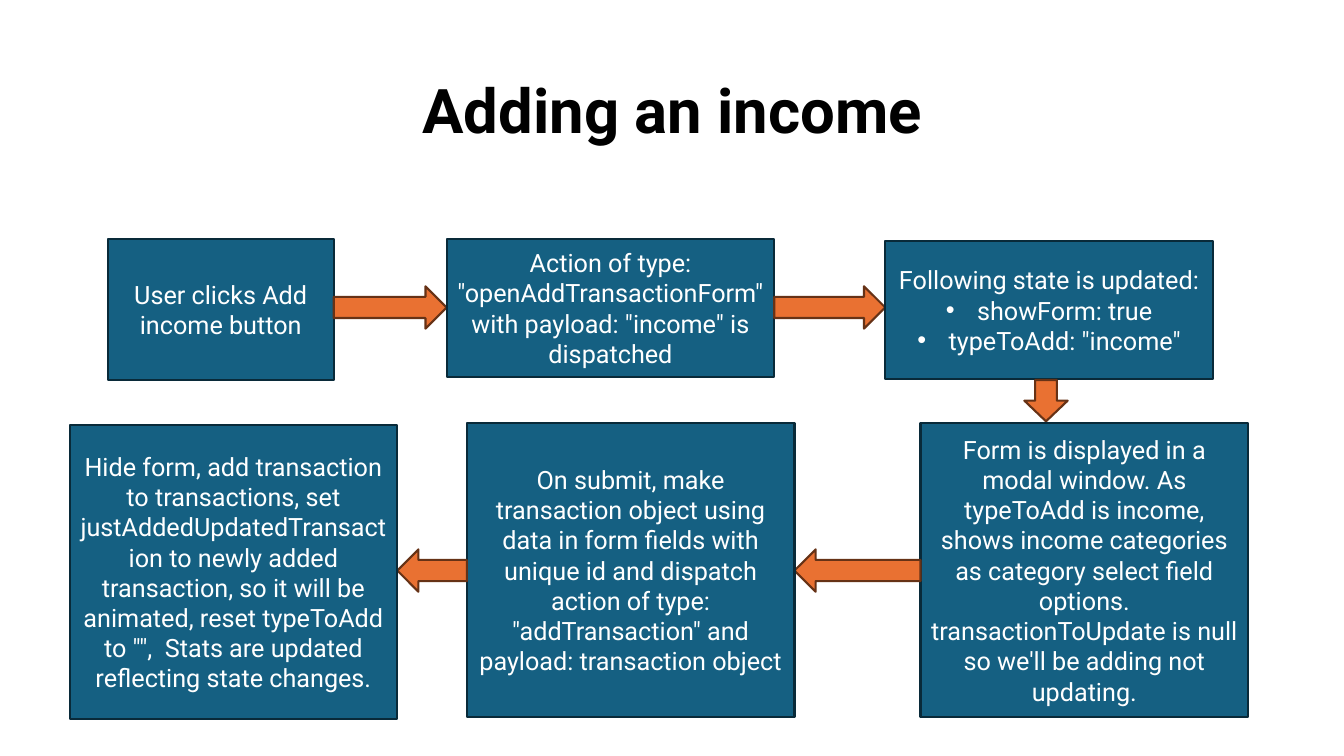
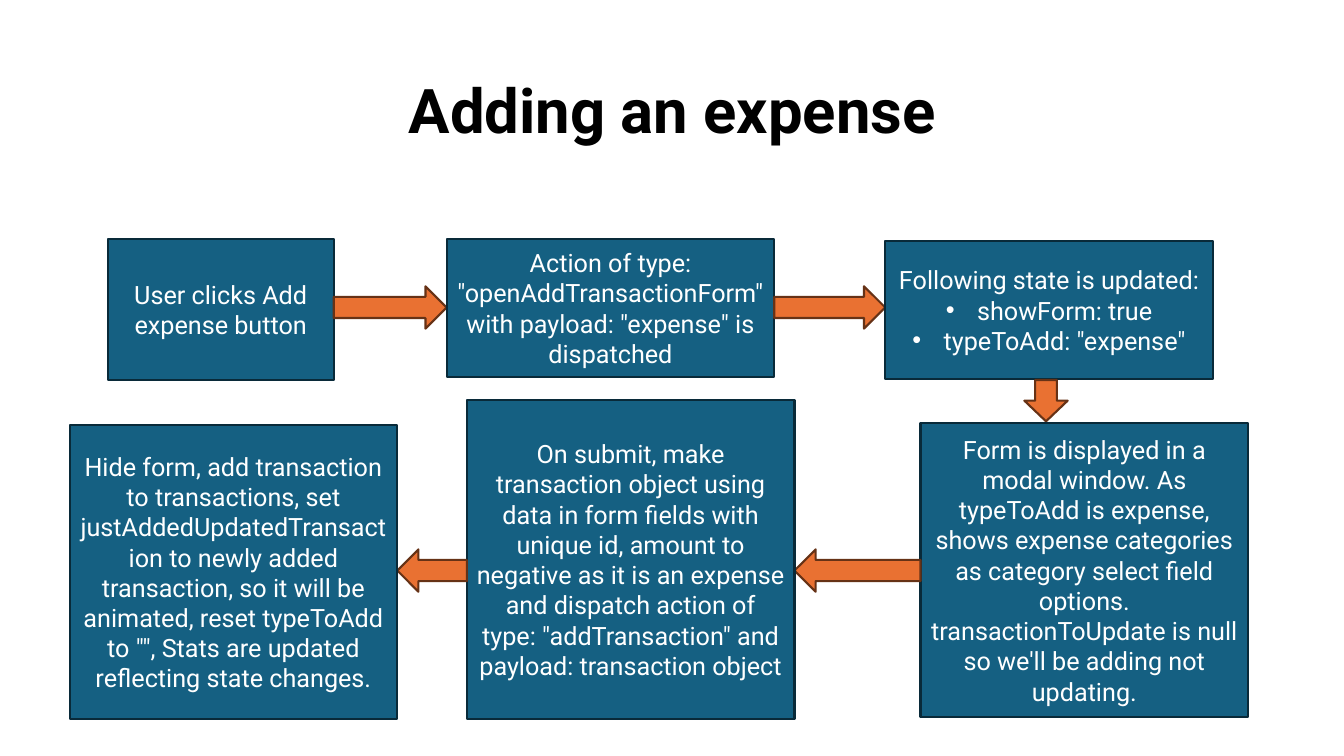
from dataclasses import dataclass

from lxml import etree
from pptx import Presentation
from pptx import util as u
from pptx.dml import color
from pptx.enum import shapes, text
from pptx.oxml import ns

SHAPE = shapes.MSO_SHAPE


@dataclass(frozen=True)
class Theme:
    font: str = "Roboto"
    title_size: int = 44
    body_size: int = 18
    title_color: str = "000000"
    box_text: str = "FFFFFF"
    box_fill: str = "156082"
    box_line: str = "092A39"
    arrow_fill: str = "E97132"
    arrow_line: str = "663216"
    line_width: float = 1.5
    arrow_width: float = 0.42
    bullet_indent: float = 0.31


class Deck:
    def __init__(self, theme):
        self.theme = theme
        self.prs = Presentation()
        self.prs.slide_width = u.Inches(13.33)
        self.prs.slide_height = u.Inches(7.5)
        self.slide = None

    def add_slide(self, title):
        self.slide = self.prs.slides.add_slide(self.prs.slide_layouts[5])
        sp = self.slide.shapes.title
        sp.left, sp.top, sp.width, sp.height = map(u.Inches, (0.92, 0.4, 11.5, 1.45))
        tf = sp.text_frame
        tf.auto_size = text.MSO_AUTO_SIZE.NONE
        tf.vertical_anchor = text.MSO_ANCHOR.MIDDLE
        p = tf.paragraphs[0]
        p.line_spacing = 0.9
        self.run(p, title, self.theme.title_size, self.theme.title_color, bold=True)

    def run(self, p, words, size, rgb, bold=False):
        p.alignment = text.PP_ALIGN.CENTER
        r = p.add_run()
        r.text = words
        r.font.name = self.theme.font
        r.font.size = u.Pt(size)
        r.font.bold = bold
        r.font.color.rgb = color.RGBColor.from_string(rgb)

    def shape(self, kind, at, fill, line):
        sp = self.slide.shapes.add_shape(kind, *map(u.Inches, at))
        sp.shadow.inherit = False
        sp.fill.solid()
        sp.fill.fore_color.rgb = color.RGBColor.from_string(fill)
        sp.line.color.rgb = color.RGBColor.from_string(line)
        sp.line.width = u.Pt(self.theme.line_width)
        return sp

    def bullet(self, p):
        indent = u.Inches(self.theme.bullet_indent)
        pPr = p._p.get_or_add_pPr()
        pPr.set("marL", str(indent))
        pPr.set("indent", str(-indent))
        etree.SubElement(pPr, ns.qn("a:buFont")).set("typeface", "Arial")
        etree.SubElement(pPr, ns.qn("a:buChar")).set("char", "•")

    def box(self, at, words, bullets=()):
        t = self.theme
        sp = self.shape(SHAPE.FLOWCHART_PROCESS, at, t.box_fill, t.box_line)
        tf = sp.text_frame
        tf.word_wrap = True
        tf.vertical_anchor = text.MSO_ANCHOR.MIDDLE
        self.run(tf.paragraphs[0], words, t.body_size, t.box_text)
        for item in bullets:
            p = tf.add_paragraph()
            self.bullet(p)
            self.run(p, item, t.body_size, t.box_text)

    def arrow(self, kind, at):
        self.shape(kind, at, self.theme.arrow_fill, self.theme.arrow_line)

    def link(self, start, end, top):
        if start[0] < end[0]:
            kind, left, right = SHAPE.RIGHT_ARROW, start, end
        else:
            kind, left, right = SHAPE.LEFT_ARROW, end, start
        x = left[0] + left[2]
        self.arrow(kind, (x, top, right[0] - x, self.theme.arrow_width))


CLICK = (1.07, 2.37, 2.24, 1.4)
ACTION = (4.43, 2.37, 3.25, 1.37)
STATE = (8.78, 2.39, 3.25, 1.37)
FORM = (9.13, 4.2, 3.25, 2.91)
RESULT = (0.69, 4.22, 3.25, 2.91)
TOP_ARROWS = 2.84
BOTTOM_ARROWS = 5.45


def add_flow(deck, kind, categories, submit_at, submit_text, stats):
    deck.add_slide(f"Adding an {kind}")
    deck.box(CLICK, f"User clicks Add {kind} button")
    deck.link(CLICK, ACTION, TOP_ARROWS)
    deck.box(ACTION, f'Action of type: "openAddTransactionForm"with payload: "{kind}" is dispatched')
    deck.link(ACTION, STATE, TOP_ARROWS)
    deck.box(STATE, "Following state is updated:", ("showForm: true", f'typeToAdd: "{kind}"'))
    deck.arrow(SHAPE.DOWN_ARROW, (10.16, 3.77, 0.43, 0.41))
    deck.box(
        FORM,
        f"Form is displayed in a modal window. As typeToAdd is {kind}, shows {categories} "
        "as category select field options. transactionToUpdate is null "
        "so we'll be adding not updating.",
    )
    deck.link(FORM, submit_at, BOTTOM_ARROWS)
    deck.box(
        submit_at,
        f"On submit, {submit_text} dispatch action of type: "
        '"addTransaction" and payload: transaction object',
    )
    deck.link(submit_at, RESULT, BOTTOM_ARROWS)
    deck.box(
        RESULT,
        "Hide form, add transaction to transactions, set justAddedUpdatedTransaction "
        "to newly added transaction, so it will be animated, "
        f'reset typeToAdd to "",{stats} are updated reflecting state changes.',
    )


def main():
    deck = Deck(Theme())
    add_flow(
        deck,
        "income",
        "income categories",
        (4.63, 4.2, 3.25, 2.91),
        "make transaction object using data in form fields with unique id and",
        "  Stats",
    )
    add_flow(
        deck,
        "expense",
        "expense categories",
        (4.63, 3.97, 3.25, 3.16),
        "make transaction object using data in form fields with unique id, "
        "amount to negative as it is an expense and",
        " Stats",
    )
    deck.prs.save("out.pptx")


if __name__ == "__main__":
    main()
